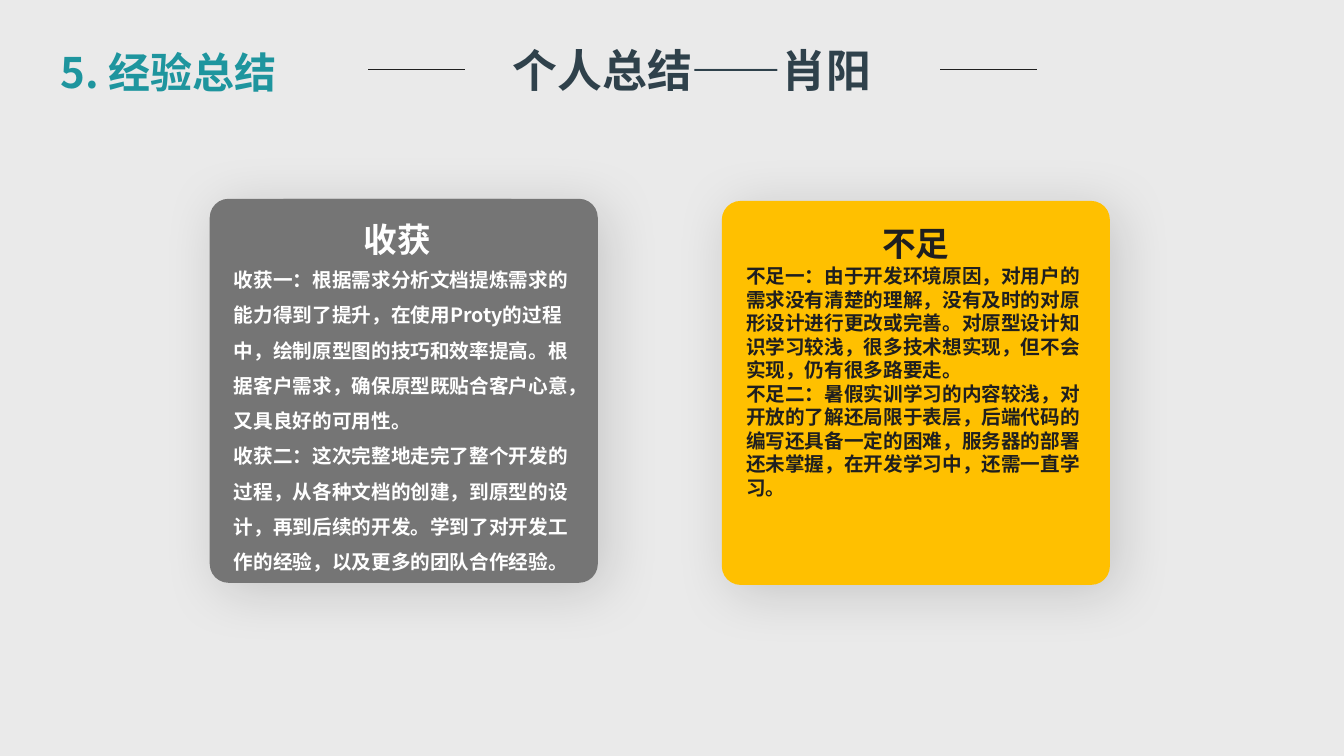
from lxml import etree
from pptx import Presentation
from pptx.dml.color import RGBColor
from pptx.enum.shapes import MSO_CONNECTOR, MSO_SHAPE
from pptx.enum.text import MSO_ANCHOR, MSO_AUTO_SIZE, PP_ALIGN
from pptx.oxml.ns import qn
from pptx.util import Pt

LEFT, CENTER = PP_ALIGN.LEFT, PP_ALIGN.CENTER
TOP, NO_FIT = MSO_ANCHOR.TOP, MSO_AUTO_SIZE.NONE
ROUND, RECT = MSO_SHAPE.ROUNDED_RECTANGLE, MSO_SHAPE.RECTANGLE
STRAIGHT = MSO_CONNECTOR.STRAIGHT
FACE = "Noto Sans CJK SC"
DARK, WHITE = "1F1F1F", "FFFFFF"

GAINS = [
    "收获一：根据需求分析文档提炼需求的能力得到了提升，在使用Proty的过程中，绘制原型图的技巧和效率提高。"
    "根据客户需求，确保原型既贴合客户心意，又具良好的可用性。",
    "收获二：这次完整地走完了整个开发的过程，从各种文档的创建，到原型的设计，再到后续的开发。"
    "学到了对开发工作的经验，以及更多的团队合作经验。",
]
GAPS = [
    "不足一：由于开发环境原因，对用户的需求没有清楚的理解，没有及时的对原形设计进行更改或完善。"
    "对原型设计知识学习较浅，很多技术想实现，但不会实现，仍有很多路要走。",
    "不足二：暑假实训学习的内容较浅，对开放的了解还局限于表层，后端代码的编写还具备一定的困难，"
    "服务器的部署还未掌握，在开发学习中，还需一直学习。",
]


def color(code):
    return RGBColor.from_string(code)


def place(shape, x, y, w, h):
    shape.left, shape.top, shape.width, shape.height = Pt(x), Pt(y), Pt(w), Pt(h)


def write(shape, lines, size, ink, align=LEFT, space=1, inset=(0, 0)):
    """Fill a shape with bold, unbulleted paragraphs; inset is (side, top)."""
    frame = shape.text_frame
    frame.word_wrap, frame.auto_size, frame.vertical_anchor = True, NO_FIT, TOP
    frame.margin_left = frame.margin_right = Pt(inset[0])
    frame.margin_top = frame.margin_bottom = Pt(inset[1])
    frame.text = "\n".join(lines)
    for para in frame.paragraphs:
        para.alignment, para.line_spacing = align, space
        para.space_before = para.space_after = Pt(0)
        props = para._p.get_or_add_pPr()
        props.set("marL", "0")
        props.set("indent", "0")
        etree.SubElement(props, qn("a:buNone"))
        font = para.font
        font.size, font.bold, font.name = Pt(size), True, FACE
        font.color.rgb = color(ink)
        etree.SubElement(props.find(qn("a:defRPr")), qn("a:ea"), typeface=FACE)


def block(slide, kind, x, y, w, h, fill):
    shape = slide.shapes.add_shape(kind, Pt(x), Pt(y), Pt(w), Pt(h))
    shape.shadow.inherit = False
    shape.fill.solid()
    shape.fill.fore_color.rgb = color(fill)
    shape.line.fill.background()
    return shape


def shade(shape):
    """Add a soft shadow towards the lower right."""
    effects = shape._element.spPr.find(qn("a:effectLst"))
    outer = etree.SubElement(
        effects, qn("a:outerShdw"), blurRad=str(Pt(40)), dist=str(Pt(8)),
        dir="2700000", algn="tl", rotWithShape="0")
    black = etree.SubElement(outer, qn("a:srgbClr"), val="000000")
    etree.SubElement(black, qn("a:alpha"), val="15000")


def header(slide, x, y):
    label = slide.shapes.add_textbox(Pt(x), Pt(y + 3.5), Pt(198), Pt(44))
    write(label, ["5. 经验总结"], 30, "1E959E", inset=(7.2, 3.6))
    place(slide.shapes.title, x + 323, y + 0.3, 480, 46)
    write(slide.shapes.title, ["个人总结——肖阳"], 32, "2F414B", inset=(7.2, 3.6))
    for start in (x + 227, x + 635.7):
        rule = slide.shapes.add_connector(
            STRAIGHT, Pt(start), Pt(y + 23), Pt(start + 69), Pt(y + 23))
        rule.line.color.rgb, rule.line.width = color(DARK), Pt(0.5)
        etree.SubElement(rule._element.spPr, qn("a:effectLst"))


def card(slide, x, y, body, fill, ink, head, lines, shift, drop, space):
    """Draw a card; shift and drop place its head and body inside it."""
    panel = block(slide, ROUND, x, y, 277.2, 274.3, fill)
    panel.adjustments[0] = 0.049
    shade(panel)
    title = block(slide, RECT, x + shift[0], y + shift[1], 163, 43, fill)
    write(title, [head], 24, ink, CENTER, 1.5)
    place(body, x + 17.3, y + drop, 245, 229)
    write(body, lines, 14, ink, space=space)
    panel._element.getparent().append(body._element)


def main():
    deck = Presentation()
    deck.slide_width, deck.slide_height = Pt(960), Pt(540)
    slide = deck.slides.add_slide(deck.slide_layouts[3])
    slide.background.fill.solid()
    slide.background.fill.fore_color.rgb = color("EAEAEA")
    for spot in list(slide.placeholders)[3:]:
        spot._element.getparent().remove(spot._element)
    gains, gaps = slide.placeholders[1], slide.placeholders[2]
    header(slide, 36, 26.5)
    card(slide, 149.8, 142, gains, "757575", WHITE, "收获", GAINS,
         (52.6, 0), 41, 1.5)
    card(slide, 515.6, 143.5, gaps, "FFC000", DARK, "不足", GAPS,
         (57, 1.5), 45, 1)
    deck.save("out.pptx")


if __name__ == "__main__":
    main()
